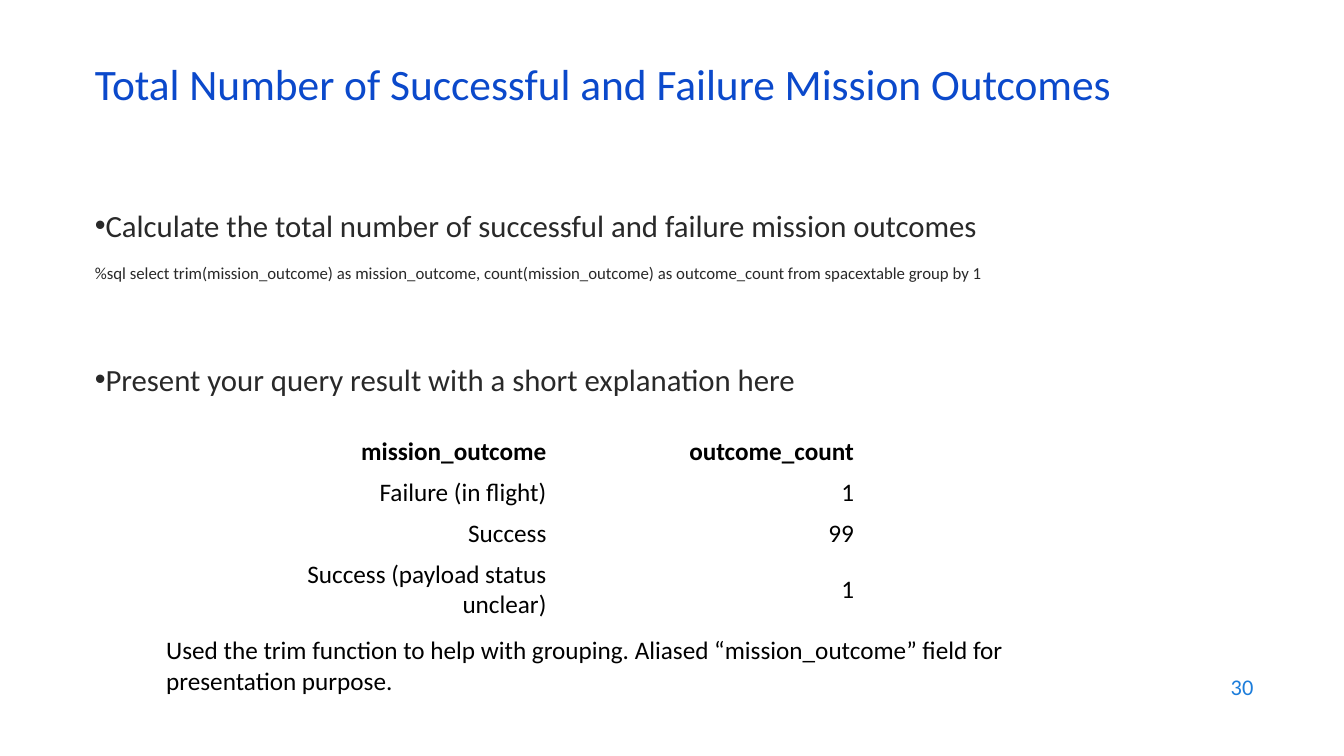
from pptx import Presentation
from pptx.dml.color import RGBColor
from pptx.enum.text import MSO_ANCHOR, MSO_AUTO_SIZE, PP_ALIGN
from pptx.oxml import parse_xml
from pptx.oxml.ns import nsdecls
from pptx.util import Inches, Pt

MIDDLE = MSO_ANCHOR.MIDDLE
RIGHT, LEFT = PP_ALIGN.RIGHT, PP_ALIGN.LEFT
NO_FIT = MSO_AUTO_SIZE.NONE
COLORS = {"title": "0B49CB", "body": "292929", "number": "1C7DDB", "text": "000000"}


def style(para, size, color, align=LEFT, bold=False):
    para.alignment = align
    for run in para.runs:
        run.font.name = "Calibri"
        run.font.size = Pt(size)
        run.font.bold = bold
        run.font.color.rgb = RGBColor.from_string(COLORS[color])


def place(shape, left, top, width, height):
    shape.left, shape.top = Inches(left), Inches(top)
    shape.width, shape.height = Inches(width), Inches(height)


prs = Presentation()
prs.slide_width, prs.slide_height = Inches(13.33), Inches(7.5)
slide = prs.slides.add_slide(prs.slide_layouts[1])

title = slide.shapes.title
place(title, 0.84, 0.59, 11.5, 0.6)
frame = title.text_frame
frame.text = "Total Number of Successful and Failure Mission Outcomes"
frame.auto_size = NO_FIT
frame.vertical_anchor = MIDDLE
frame.paragraphs[0].line_spacing = 0.7
style(frame.paragraphs[0], 31, "title")

body = slide.placeholders[1]
place(body, 0.84, 2, 10.66, 4.76)
frame = body.text_frame
frame.auto_size = NO_FIT
items = [
    ("Calculate the total number of successful and failure mission outcomes", 22, 0, True),
    ("%sql select trim(mission_outcome) as mission_outcome, count(mission_outcome) "
     "as outcome_count from spacextable group by 1", 12, 14, False),
    ("Present your query result with a short explanation here", 22, 55, True),
]
frame.text = "\n".join(item[0] for item in items)
for para, (text, size, gap, dot) in zip(frame.paragraphs, items):
    props = para._p.get_or_add_pPr()
    props.set("marL", "0")
    props.set("indent", "0")
    mark = 'buChar {} char="•"' if dot else "buNone {}"
    props.append(parse_xml(f"<a:{mark.format(nsdecls('a'))}/>"))
    para.space_before = Pt(gap)
    style(para, size, "body")

rows = [
    ("mission_outcome", "outcome_count"),
    ("Failure (in flight)", "1"),
    ("Success", "99"),
    ("Success (payload status unclear)", "1"),
]
table = slide.shapes.add_table(
    len(rows), 2, Inches(2.47), Inches(4.28), Inches(6.1), Inches(1.9)
).table
table.horz_banding = False
for r, row in enumerate(rows):
    table.rows[r].height = Inches(0.7 if r == len(rows) - 1 else 0.4)
    for c, text in enumerate(row):
        cell = table.cell(r, c)
        cell.text = text
        cell.fill.background()
        cell.vertical_anchor = MIDDLE
        style(cell.text_frame.paragraphs[0], 18, "text", RIGHT, r == 0)

notes = [
    ("Used the trim function to help with grouping. Aliased “mission_outcome” field "
     "for presentation purpose.", (1.55, 6.24, 8.61, 0.71), 18, "text", LEFT),
    ("30", (9.53, 6.59, 3, 0.44), 16, "number", RIGHT),
]
for text, spot, size, color, align in notes:
    box = slide.shapes.add_textbox(*map(Inches, spot))
    frame = box.text_frame
    frame.word_wrap = True
    frame.vertical_anchor = MIDDLE
    frame.text = text
    style(frame.paragraphs[0], size, color, align)

prs.save("out.pptx")
